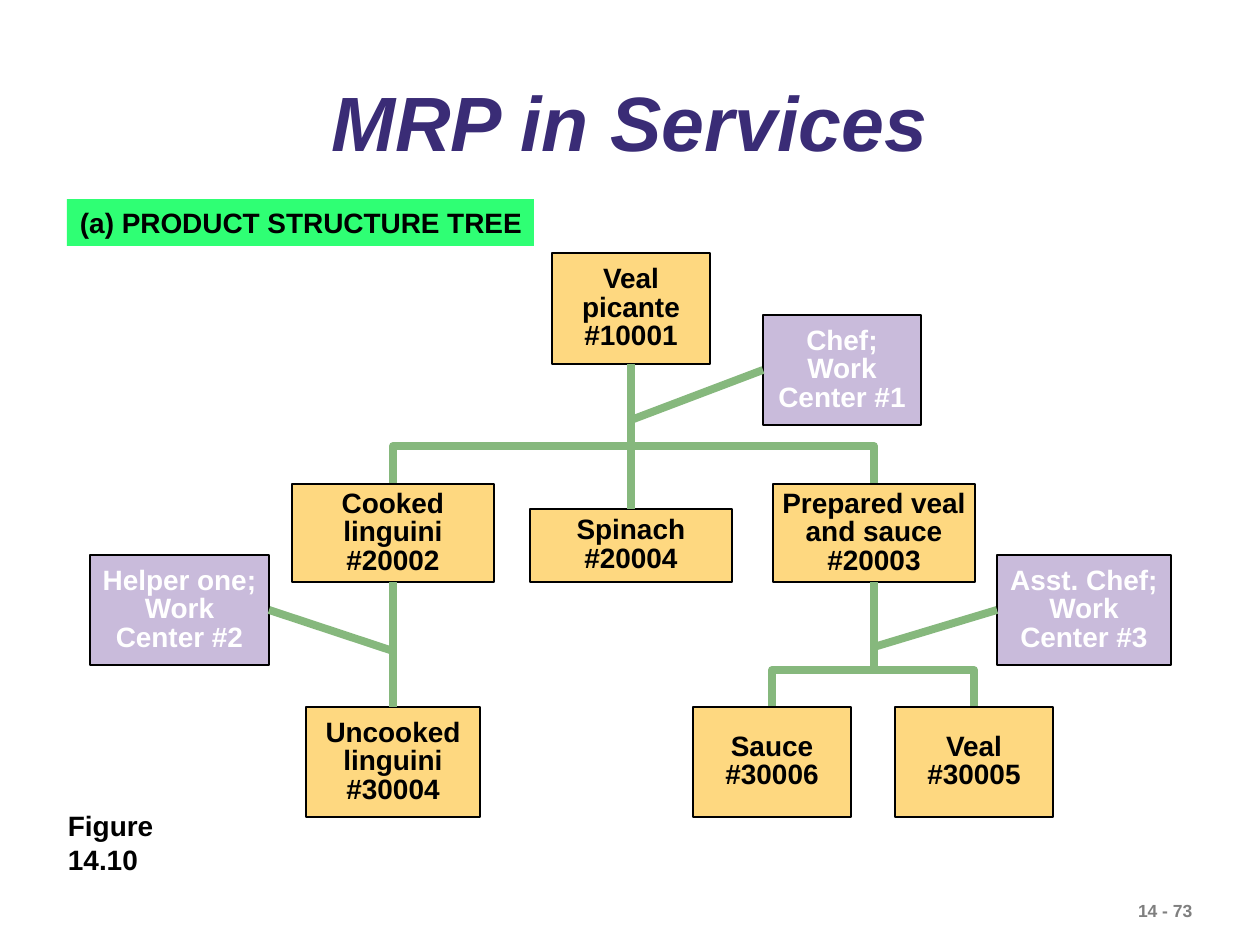
from lxml.etree import SubElement
from pptx import Presentation
from pptx.dml.color import RGBColor as RGB
from pptx.enum.shapes import MSO_CONNECTOR as Link, MSO_SHAPE as Shape
from pptx.enum.text import MSO_ANCHOR as Anchor, PP_ALIGN as Align
from pptx.oxml.ns import qn
from pptx.util import Pt

SCALE = 914400 / 126  # EMU in one px
TOP, LEFT, BASE, RIGHT = range(4)  # sides of a box
COLORS = {
    "title": "3A2C76", "part": "FED880", "staff": "C9BBDB", "tag": "2FFF74",
    "line": "86B87D", "black": "000000", "white": "FFFFFF", "gray": "7F7F7F",
}


def px(*vals):
    out = [round(val * SCALE) for val in vals]
    return out if len(out) > 1 else out[0]


def hue(name):
    return RGB.from_string(COLORS[name])


def write(frame, lines, size=16, color="black", align=Align.LEFT,
          gap=None, slant=False, wrap=True, pad=13):
    """Fill a text frame with one paragraph for each line."""
    frame.word_wrap = wrap
    frame.vertical_anchor = Anchor.MIDDLE
    frame.margin_left = frame.margin_right = px(pad)
    frame.margin_top = frame.margin_bottom = px(6)
    for i, line in enumerate(lines):
        para = frame.add_paragraph() if i else frame.paragraphs[0]
        para.alignment = align
        if gap:
            para.line_spacing = gap
        run = para.add_run()
        run.text = line
        font = run.font
        font.name, font.size = "Arial", Pt(size)
        font.bold, font.italic = True, slant
        font.color.rgb = hue(color)


def add_rect(slide, area, fill, edge=True):
    rect = slide.shapes.add_shape(Shape.RECTANGLE, *px(*area))
    rect.shadow.inherit = False
    rect.fill.solid()
    rect.fill.fore_color.rgb = hue(fill)
    if edge:
        rect.line.color.rgb = hue("black")
        rect.line.width = Pt(0.75)
    else:
        rect.line.fill.background()
    return rect


def add_box(slide, area, lines, fill="part", color="black"):
    box = add_rect(slide, area, fill)
    write(box.text_frame, lines, color=color, align=Align.CENTER,
          gap=0.85, pad=8)
    return box


def add_text(slide, area, text, **look):
    box = slide.shapes.add_textbox(*px(*area))
    write(box.text_frame, [text], **look)


def paint(line):
    line.color.rgb = hue("line")
    line.width = Pt(4.5)


def add_fork(slide, left, right, top, base):
    """Bracket that splits a stem into two branches."""
    pen = slide.shapes.build_freeform(*px(left, base))
    pen.add_line_segments(
        [px(left, top), px(right, top), px(right, base)], close=False)
    fork = pen.convert_to_shape()
    fork.shadow.inherit = False
    fork.fill.background()
    paint(fork.line)


def add_link(slide, box, side, end):
    """Line from a box side to a point, or to the top of another box."""
    point = end if isinstance(end, tuple) else (0, 0)
    link = slide.shapes.add_connector(Link.STRAIGHT, 0, 0, *px(*point))
    link.begin_connect(box, side)
    if not isinstance(end, tuple):
        link.end_connect(end, TOP)
    paint(link.line)
    SubElement(link._element.spPr, qn("a:effectLst"))


def main():
    deck = Presentation()
    deck.slide_width, deck.slide_height = px(1260, 945)
    slide = deck.slides.add_slide(deck.slide_layouts[5])

    # Title, heading and notes at the foot
    title = slide.shapes.title
    title.left, title.top, title.width, title.height = px(94, 64, 1071, 125)
    write(title.text_frame, ["MRP in Services"], size=44, color="title",
          align=Align.CENTER, gap=0.9, slant=True)
    tag = add_rect(slide, (67, 199, 467, 47), "tag", edge=False)
    write(tag.text_frame, ["(a) PRODUCT STRUCTURE TREE"], wrap=False)
    add_text(slide, (55, 819, 188, 47), "Figure 14.10", wrap=False)
    add_text(slide, (1125, 893, 144, 34), "14 - 73", size=10, color="gray")

    # Forks lie behind the boxes
    add_fork(slide, 393, 874, 446, 488)
    add_fork(slide, 772, 974, 670, 712)

    # Product parts
    parts = {
        "Veal picante #10001": (552, 253, 158, 111),
        "Cooked linguini #20002": (292, 484, 202, 98),
        "Spinach #20004": (530, 509, 202, 73),
        "Prepared veal and sauce #20003": (773, 484, 202, 98),
        "Uncooked linguini #30004": (306, 707, 174, 110),
        "Sauce #30006": (693, 707, 158, 110),
        "Veal #30005": (895, 707, 158, 110),
    }
    root, pasta, greens, meat, raw, *_ = [
        add_box(slide, area, [text]) for text, area in parts.items()]

    # Stems of the tree
    for box, end in ((root, greens), (pasta, raw), (meat, (874, 670))):
        add_link(slide, box, BASE, end)

    # Staff, each tied to a stem
    staff = (
        ("Chef;", (763, 315, 158, 110), LEFT, (631, 420)),
        ("Helper one;", (90, 555, 179, 110), RIGHT, (393, 651)),
        ("Asst. Chef;", (997, 555, 174, 110), LEFT, (874, 647)),
    )
    for num, (role, area, side, end) in enumerate(staff, 1):
        lines = [role, "Work", f"Center #{num}"]
        box = add_box(slide, area, lines, "staff", "white")
        add_link(slide, box, side, end)

    deck.save("out.pptx")


if __name__ == "__main__":
    main()
